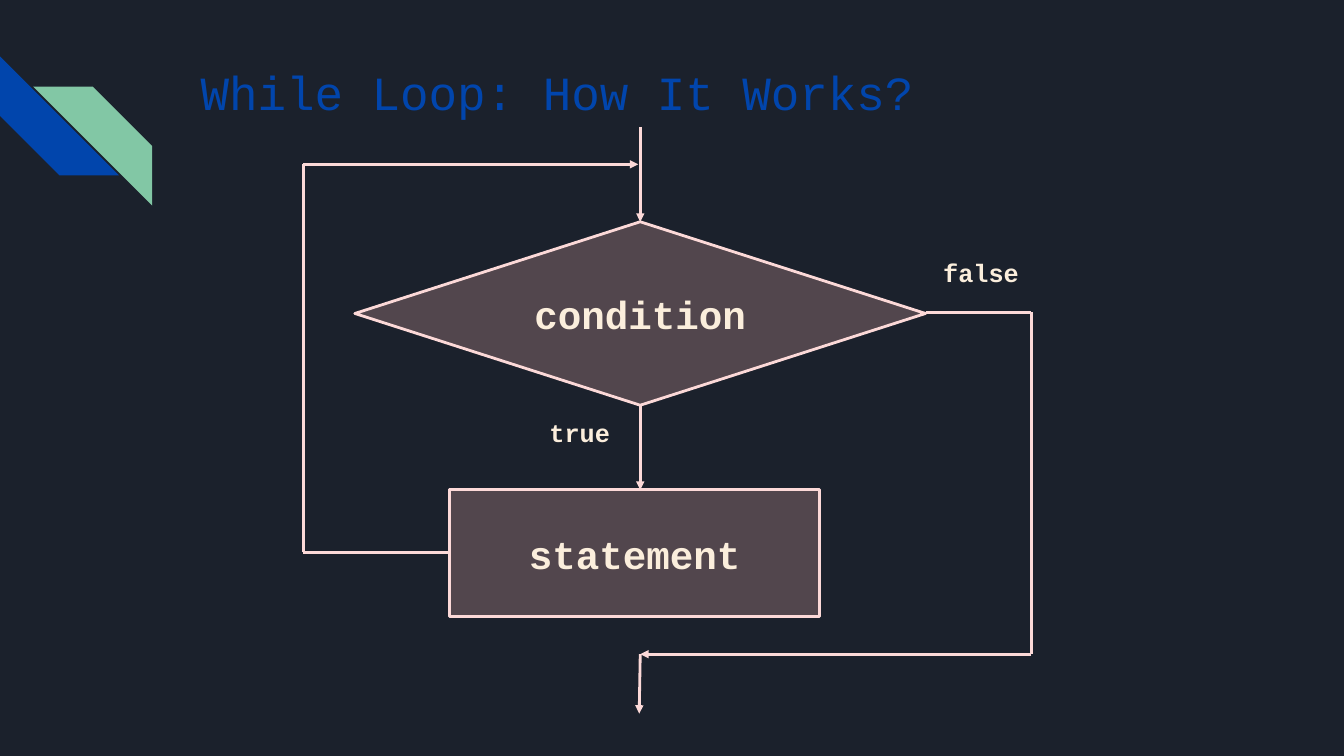
from dataclasses import dataclass

from lxml import etree
from pptx import Presentation
from pptx import util as u
from pptx.dml.color import RGBColor
from pptx.enum import shapes, text
from pptx.oxml import ns


@dataclass(frozen=True)
class Theme:
    background: str = "1B212C"
    blue: str = "0145AC"
    green: str = "82C7A5"
    node: str = "FAB6B3"
    line: str = "FCD9D8"
    words: str = "FBEEDC"
    font: str = "Courier New"
    title_size: int = 34
    node_size: int = 28
    label_size: int = 18
    line_width: int = 2
    node_opacity: int = 25


THEME = Theme()
PRESET = shapes.MSO_SHAPE


def paint(fill, color, opacity=100):
    fill.solid()
    fill.fore_color.rgb = RGBColor.from_string(color)
    if opacity < 100:
        # The colour element is reached through the fill's own XML
        color_xml = fill._xPr.find(ns.qn("a:solidFill"))[0]
        etree.SubElement(color_xml, ns.qn("a:alpha"), val=str(opacity * 1000))


def style_line(line):
    paint(line.fill, THEME.line)
    line.width = u.Pt(THEME.line_width)


def write(frame, words, size, color, bold=False,
          align=text.PP_ALIGN.CENTER, anchor=text.MSO_ANCHOR.MIDDLE):
    frame.text = words
    frame.word_wrap = True
    frame.auto_size = text.MSO_AUTO_SIZE.NONE
    frame.vertical_anchor = anchor
    paragraph = frame.paragraphs[0]
    paragraph.alignment = align
    font = paragraph.runs[0].font
    font.name, font.size, font.bold = THEME.font, u.Pt(size), bold
    font.color.rgb = RGBColor.from_string(color)


def add_title(slide, words):
    title = slide.shapes.title
    title.left, title.top = u.Inches(1.89), u.Inches(0.57)
    title.width, title.height = u.Inches(10.26), u.Inches(0.68)
    write(title.text_frame, words, THEME.title_size, THEME.blue,
          align=text.PP_ALIGN.LEFT, anchor=text.MSO_ANCHOR.BOTTOM)
    title.text_frame.paragraphs[0].line_spacing = 0.9


def add_stripe(slide, left, top, color, rotation=0, flipped=False):
    side = u.Inches(1.18)
    stripe = slide.shapes.add_shape(
        PRESET.DIAGONAL_STRIPE, u.Inches(left), u.Inches(top), side, side)
    stripe.shadow.inherit = False
    stripe.adjustments[0] = 0.5
    stripe.rotation = rotation
    if flipped:
        stripe._element.spPr.find(ns.qn("a:xfrm")).set("flipH", "1")
    paint(stripe.fill, color)
    stripe.line.fill.background()


def add_node(slide, preset, words, left, top, width, height):
    node = slide.shapes.add_shape(
        preset, *(u.Inches(n) for n in (left, top, width, height)))
    node.shadow.inherit = False
    paint(node.fill, THEME.node, THEME.node_opacity)
    style_line(node.line)
    write(node.text_frame, words, THEME.node_size, THEME.words, bold=True)


def add_label(slide, words, left, top, width):
    label = slide.shapes.add_textbox(
        u.Inches(left), u.Inches(top), u.Inches(width), u.Inches(0.4))
    write(label.text_frame, words, THEME.label_size, THEME.words, bold=True,
          anchor=text.MSO_ANCHOR.TOP)


def add_flow(slide, start, end, arrow=False):
    flow = slide.shapes.add_connector(
        shapes.MSO_CONNECTOR.STRAIGHT, *(u.Inches(n) for n in (*start, *end)))
    style_line(flow.line)
    if arrow:
        etree.SubElement(flow.line._get_or_add_ln(), ns.qn("a:tailEnd"),
                         type="triangle")
    etree.SubElement(flow._element.spPr, ns.qn("a:effectLst"))


def main():
    deck = Presentation()
    deck.slide_width, deck.slide_height = u.Inches(13.33), u.Inches(7.5)
    slide = deck.slides.add_slide(deck.slide_layouts[5])
    paint(slide.background.fill, THEME.background)

    # Corner ornament and title
    add_stripe(slide, 0, 0.56, THEME.blue, rotation=270)
    add_stripe(slide, 0.33, 0.86, THEME.green, flipped=True)
    add_title(slide, "While Loop: How It Works?")

    # Main axis, side tracks and the heights where they meet
    axis, loop_x, exit_x = 6.35, 3.01, 10.23
    loop_y, condition_y, statement_y, exit_y = 1.63, 3.1, 5.48, 6.49

    # Entry, true branch and way out
    add_flow(slide, (axis, 1.26), (axis, 2.2), arrow=True)
    add_flow(slide, (axis, 4.02), (axis, 4.86), arrow=True)
    add_flow(slide, (axis, exit_y), (6.34, 7.08), arrow=True)

    # Loop back from the statement
    add_flow(slide, (4.46, statement_y), (loop_x, statement_y))
    add_flow(slide, (loop_x, statement_y), (loop_x, loop_y))
    add_flow(slide, (loop_x, loop_y), (6.33, loop_y), arrow=True)

    # False branch around the statement
    add_flow(slide, (9.18, condition_y), (exit_x, condition_y))
    add_flow(slide, (exit_x, condition_y), (exit_x, exit_y))
    add_flow(slide, (exit_x, exit_y), (axis, exit_y), arrow=True)

    # Nodes and branch labels
    add_node(slide, PRESET.FLOWCHART_DECISION, "condition",
             3.52, 2.2, 5.66, 1.82)
    add_node(slide, PRESET.RECTANGLE, "statement", 4.46, 4.86, 3.67, 1.26)
    add_label(slide, "true", 5.25, 4.09, 1)
    add_label(slide, "false", 9.1, 2.5, 1.26)

    deck.save("out.pptx")


if __name__ == "__main__":
    main()
